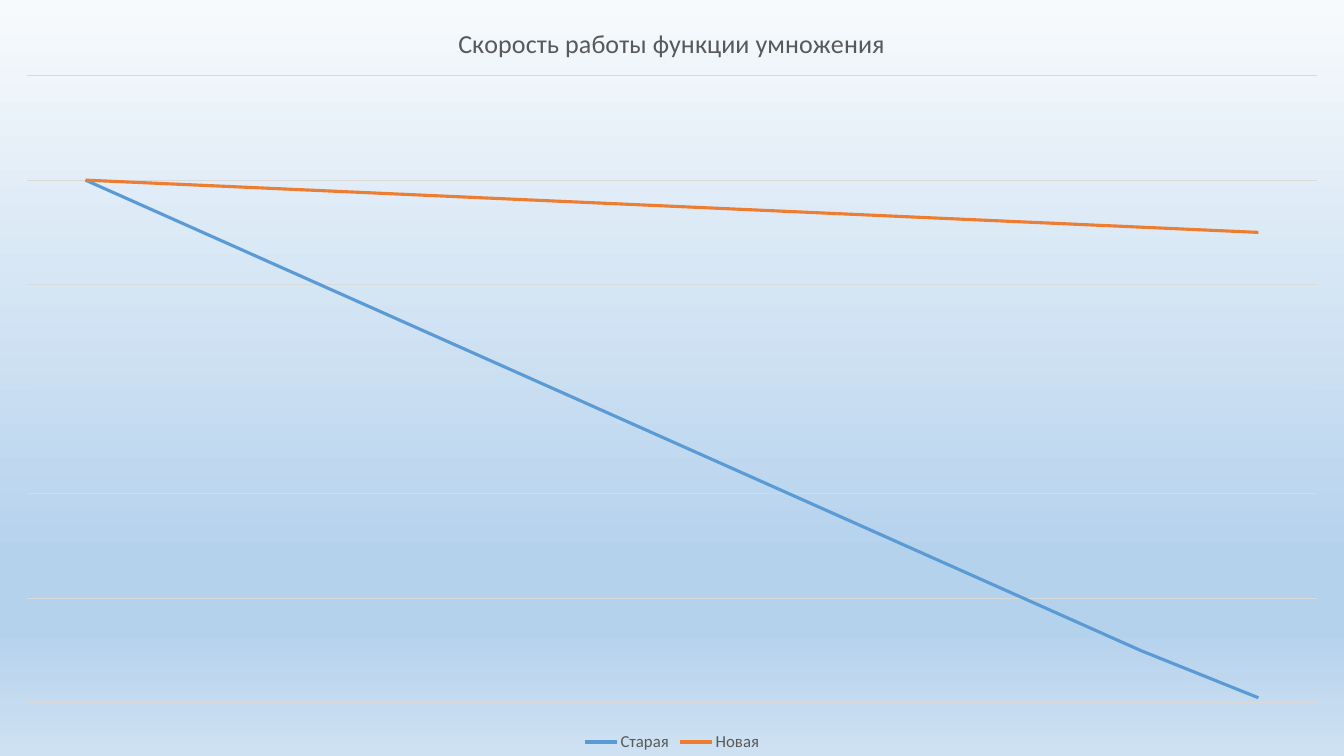
from dataclasses import dataclass

from lxml.etree import SubElement
from pptx import Presentation
from pptx.chart.chart import Chart
from pptx.chart.data import CategoryChartData
from pptx.dml.color import RGBColor
from pptx.enum.chart import XL_CHART_TYPE, XL_LEGEND_POSITION, XL_MARKER_STYLE
from pptx.oxml.ns import qn
from pptx.slide import Slide
from pptx.text.text import Font, TextFrame
from pptx.util import Inches, Pt

SLIDE_WIDTH, SLIDE_HEIGHT = Inches(13.33), Inches(7.5)
FONT_NAME = "Calibri"
TEXT_COLOR = "595959"
GRID_COLOR = "D9D9D9"
BACKGROUND_STOPS = {0: "F7FAFD", 74: "B5D2EC", 83: "B5D2EC", 100: "CEE1F2"}
PLOT_SHARES = {"x": 0.02, "y": 0.1, "w": 0.96, "h": 0.83}


@dataclass(frozen=True)
class SpeedLine:
    name: str
    values: tuple[int, ...]
    color: str


SPEED_LINES = (
    SpeedLine("Старая", (*range(100, 0, -10), 1), "5B9BD5"),
    SpeedLine("Новая", tuple(range(100, 89, -1)), "ED7D31"),
)


def rgb(color: str) -> RGBColor:
    return RGBColor.from_string(color)


def format_font(font: Font, *, size: float, color: str) -> None:
    font.name = FONT_NAME
    font.size = Pt(size)
    font.bold = False
    font.color.rgb = rgb(color)


def write_text(frame: TextFrame, text: str, *, size: float, color: str) -> None:
    frame.text = text
    format_font(frame.paragraphs[0].runs[0].font, size=size, color=color)


def paint_background(slide: Slide) -> None:
    fill = slide.background.fill
    fill.gradient()
    fill.gradient_angle = 270
    stop_list = next(slide.element.iter(qn("a:gsLst")))
    for stop in list(stop_list):
        stop_list.remove(stop)
    for percent, color in BACKGROUND_STOPS.items():
        stop = SubElement(stop_list, qn("a:gs"), pos=str(percent * 1000))
        SubElement(stop, qn("a:srgbClr"), val=color)


def place_plot_area(chart: Chart) -> None:
    """Fix the inner plot area at shares of the chart's size."""
    plot_area = next(chart.element.iter(qn("c:plotArea")))
    for layout in plot_area.findall(qn("c:layout")):
        plot_area.remove(layout)
    layout = SubElement(plot_area, qn("c:layout"))
    plot_area.insert(0, layout)
    manual = SubElement(layout, qn("c:manualLayout"))
    SubElement(manual, qn("c:layoutTarget"), val="inner")
    for side in ("x", "y"):
        SubElement(manual, qn(f"c:{side}Mode"), val="edge")
    for side, share in PLOT_SHARES.items():
        SubElement(manual, qn(f"c:{side}"), val=str(share))


def add_speed_chart(slide: Slide) -> Chart:
    data = CategoryChartData()
    data.categories = [str(i + 1) for i in range(len(SPEED_LINES[0].values))]
    for line in SPEED_LINES:
        data.add_series(line.name, line.values)
    chart = slide.shapes.add_chart(
        XL_CHART_TYPE.LINE, 0, 0, SLIDE_WIDTH, SLIDE_HEIGHT, data
    ).chart
    format_font(chart.font, size=10, color="000000")
    chart.plots[0].vary_by_categories = False
    for series, line in zip(chart.plots[0].series, SPEED_LINES):
        series.smooth = False
        series.marker.style = XL_MARKER_STYLE.NONE
        series.format.line.color.rgb = rgb(line.color)
        series.format.line.width = Pt(2.25)
    return chart


def format_axes(chart: Chart) -> None:
    chart.category_axis.visible = False
    axis = chart.value_axis
    axis.visible = False
    axis.minimum_scale, axis.maximum_scale, axis.major_unit = 0, 120, 20
    axis.has_major_gridlines = True
    grid_line = axis.major_gridlines.format.line
    grid_line.color.rgb = rgb(GRID_COLOR)
    grid_line.width = Pt(0.75)


def add_title_and_legend(chart: Chart) -> None:
    chart.has_title = True
    write_text(chart.chart_title.text_frame, "Скорость работы функции умножения",
               size=18.6, color=TEXT_COLOR)
    chart.has_legend = True
    chart.legend.position = XL_LEGEND_POSITION.BOTTOM
    chart.legend.include_in_layout = False
    format_font(chart.legend.font, size=12, color=TEXT_COLOR)


def main() -> None:
    presentation = Presentation()
    presentation.slide_width = SLIDE_WIDTH
    presentation.slide_height = SLIDE_HEIGHT
    slide = presentation.slides.add_slide(presentation.slide_layouts[6])
    paint_background(slide)
    chart = add_speed_chart(slide)
    format_axes(chart)
    add_title_and_legend(chart)
    place_plot_area(chart)
    presentation.save("out.pptx")


if __name__ == "__main__":
    main()
